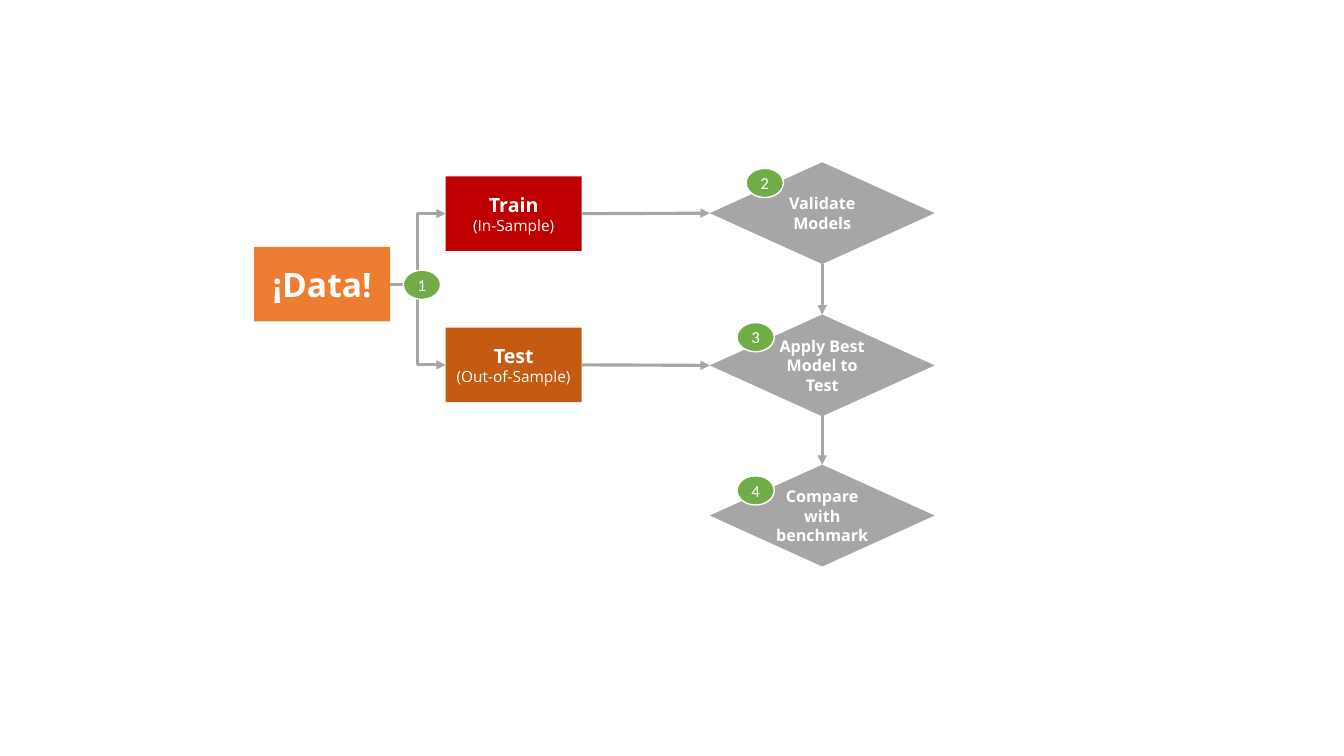
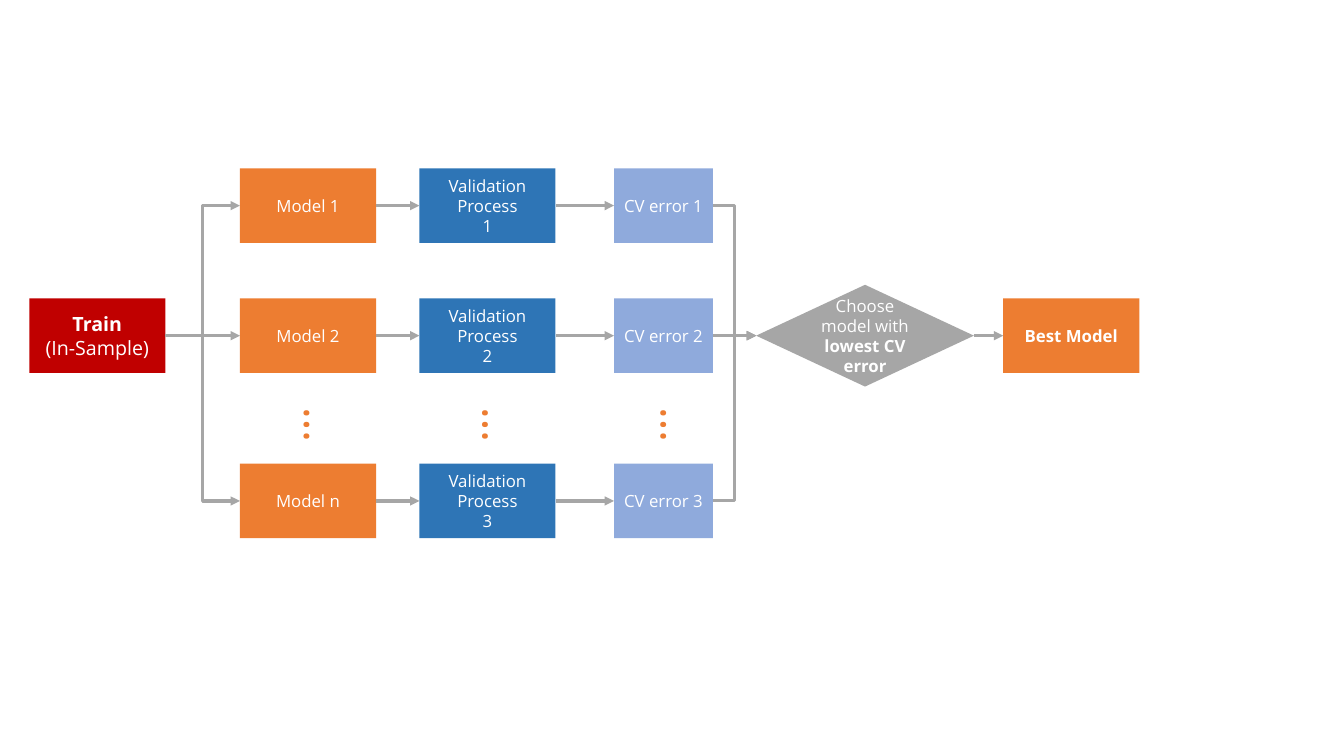
from lxml.etree import SubElement
from pptx import Presentation
from pptx.dml.color import RGBColor
from pptx.enum.shapes import MSO_CONNECTOR as LINK, MSO_SHAPE as SHAPE
from pptx.enum.text import MSO_ANCHOR as ANCHOR, PP_ALIGN as ALIGN
from pptx.oxml.ns import qn
from pptx.util import Inches, Pt

# Shared style
ORANGE, RED, RUST, GREEN = "ED7D31", "C00000", "C55A11", "70AD47"
BLUE, PALE_BLUE, GREY, WHITE = "2E75B6", "8FAADC", "A6A6A6", "FFFFFF"
FONT, BADGE_FONT = "Open Sans", "Calibri"
BOX_WIDTH, BOX_HEIGHT = 1.35, 0.74
DIAMOND_HEIGHT = 1.01
BADGE_SIZE = (0.37, 0.29)
INSET = 0.08
TOP, LEFT, BOTTOM, RIGHT = range(4)

# Slide 1: each paragraph is a list of runs (text, size, bold)
DATA_TEXT = [[("¡Data!", 24, True)]]
TRAIN_TEXT = [[("Train", 14, True)], [("(In-Sample)", 11, False)]]
TEST_TEXT = [[("Test", 14, True)], [("(Out-of-Sample)", 11, False)]]
STEPS = [("Validate Models", 1.61), ("Apply Best Model to Test", 3.12),
         ("Compare with benchmark", 4.61)]
STEP_LEFT, STEP_WIDTH = 7.04, 2.23
BADGES = [(4, 2.68), (7.4, 1.67), (7.31, 3.2), (7.31, 4.72)]

# Slide 2
ROW_TOPS = [1.67, 2.96, 4.6]
MIDDLE_TOP = ROW_TOPS[1]
COLUMNS = [  # left, width, fill, labels by row
    (2.38, BOX_WIDTH, ORANGE, [["Model 1"], ["Model 2"], ["Model n"]]),
    (4.16, BOX_WIDTH, BLUE, [["Validation Process", n] for n in "123"]),
    (6.09, 0.98, PALE_BLUE, [["CV error " + n] for n in "123"]),
]
TRAIN_LARGE_TEXT = [[("Train", 14, True)], [("(In-Sample)", 14, False)]]
CHOICE_TEXT = [[("Choose model with ", 12, False), ("lowest CV error", 12, True)]]
BEST_TEXT = [[("Best Model", 12, True)]]
CHOICE_LEFT, CHOICE_WIDTH = 7.5, 2.16
DOTS_LEFT, DOTS_STEP, DOTS_TOP, DOTS_WIDTH = 2.31, 1.77, 3.85, 1.15


def color(value):
    """Turn a hex string into a colour."""
    return RGBColor.from_string(value)


def write(shape, paragraphs, font=FONT, ink=WHITE, inset=INSET):
    """Write centred paragraphs of (text, size, bold) runs into a shape."""
    frame = shape.text_frame
    frame.word_wrap = True
    frame.vertical_anchor = ANCHOR.MIDDLE
    frame.margin_left = frame.margin_right = Inches(inset)
    for index, runs in enumerate(paragraphs):
        paragraph = frame.add_paragraph() if index else frame.paragraphs[0]
        paragraph.alignment = ALIGN.CENTER
        for text, size, bold in runs:
            run = paragraph.add_run()
            run.text = text
            run.font.name, run.font.size, run.font.bold = font, Pt(size), bold
            run.font.color.rgb = color(ink)


def add_node(slide, left, top, fill, paragraphs, kind=SHAPE.RECTANGLE,
             size=(BOX_WIDTH, BOX_HEIGHT), outline=None, **text_format):
    """Add a filled shape with text and return it."""
    shape = slide.shapes.add_shape(kind, *map(Inches, (left, top, *size)))
    shape.shadow.inherit = False
    shape.fill.solid()
    shape.fill.fore_color.rgb = color(fill)
    if outline:
        shape.line.color.rgb = color(outline)
        shape.line.width = Pt(1)
    else:
        shape.line.fill.background()
    write(shape, paragraphs, **text_format)
    return shape


def add_arrow(slide, start, end, kind=LINK.STRAIGHT, sites=(RIGHT, LEFT)):
    """Glue a grey arrow from one shape to another."""
    arrow = slide.shapes.add_connector(kind, 0, 0, 0, 0)
    arrow.begin_connect(start, sites[0])
    arrow.end_connect(end, sites[1])
    arrow.line.color.rgb = color(GREY)
    arrow.line.width = Pt(2.25)
    SubElement(arrow.line._get_or_add_ln(), qn("a:tailEnd"), type="triangle")
    SubElement(arrow._element.spPr, qn("a:effectLst"))


def add_dots(slide, left, top):
    """Add a vertical ellipsis."""
    box = slide.shapes.add_textbox(*map(Inches, (left, top, DOTS_WIDTH, BOX_HEIGHT)))
    write(box, [[("…", 32, False)]], ink=ORANGE)
    box.text_frame._txBody.bodyPr.set("vert", "vert270")


def build_overview(slide):
    """Draw the split of the data and the three steps after it."""
    data = add_node(slide, 2.52, 2.45, ORANGE, DATA_TEXT)
    train = add_node(slide, 4.42, 1.75, RED, TRAIN_TEXT)
    test = add_node(slide, 4.42, 3.25, RUST, TEST_TEXT)
    steps = [add_node(slide, STEP_LEFT, top, GREY, [[(label, 11.5, True)]],
                      kind=SHAPE.DIAMOND, size=(STEP_WIDTH, DIAMOND_HEIGHT))
             for label, top in STEPS]
    for sample, step in zip((train, test), steps):
        add_arrow(slide, data, sample, LINK.ELBOW)
        add_arrow(slide, sample, step)
    for upper, lower in zip(steps, steps[1:]):
        add_arrow(slide, upper, lower, sites=(BOTTOM, TOP))
    for number, (left, top) in enumerate(BADGES, 1):
        add_node(slide, left, top, GREEN, [[(str(number), 12, False)]],
                 kind=SHAPE.OVAL, size=BADGE_SIZE, outline=WHITE, font=BADGE_FONT)


def build_validation(slide):
    """Draw the model rows between the training data and the best model."""
    train = add_node(slide, 0.29, MIDDLE_TOP, RED, TRAIN_LARGE_TEXT)
    choice_top = MIDDLE_TOP + (BOX_HEIGHT - DIAMOND_HEIGHT) / 2
    choice = add_node(slide, CHOICE_LEFT, choice_top, GREY, CHOICE_TEXT,
                      kind=SHAPE.DIAMOND, size=(CHOICE_WIDTH, DIAMOND_HEIGHT))
    best = add_node(slide, 9.95, MIDDLE_TOP, ORANGE, BEST_TEXT)
    add_arrow(slide, choice, best)
    for row, top in enumerate(ROW_TOPS):
        nodes = [add_node(slide, left, top, fill,
                          [[(line, 12, False)] for line in labels[row]],
                          size=(width, BOX_HEIGHT))
                 for left, width, fill, labels in COLUMNS]
        branch = LINK.STRAIGHT if top == MIDDLE_TOP else LINK.ELBOW
        add_arrow(slide, train, nodes[0], branch)
        for start, end in zip(nodes, nodes[1:]):
            add_arrow(slide, start, end)
        add_arrow(slide, nodes[-1], choice, branch)
    for column in range(len(COLUMNS)):
        add_dots(slide, DOTS_LEFT + column * DOTS_STEP, DOTS_TOP)


presentation = Presentation()
presentation.slide_width, presentation.slide_height = Inches(13.33), Inches(7.5)
for build in (build_overview, build_validation):
    build(presentation.slides.add_slide(presentation.slide_layouts[6]))
presentation.save("out.pptx")
